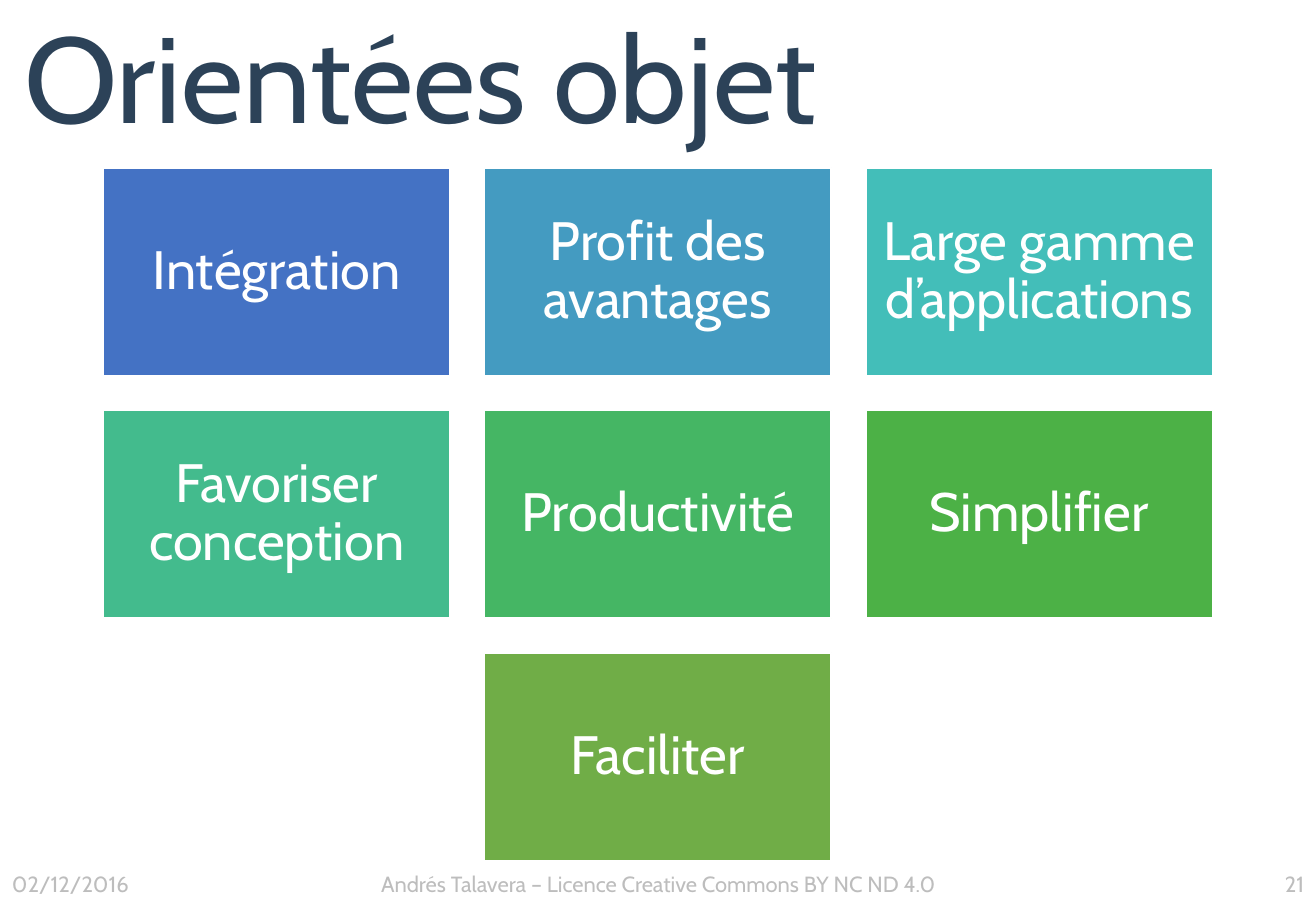
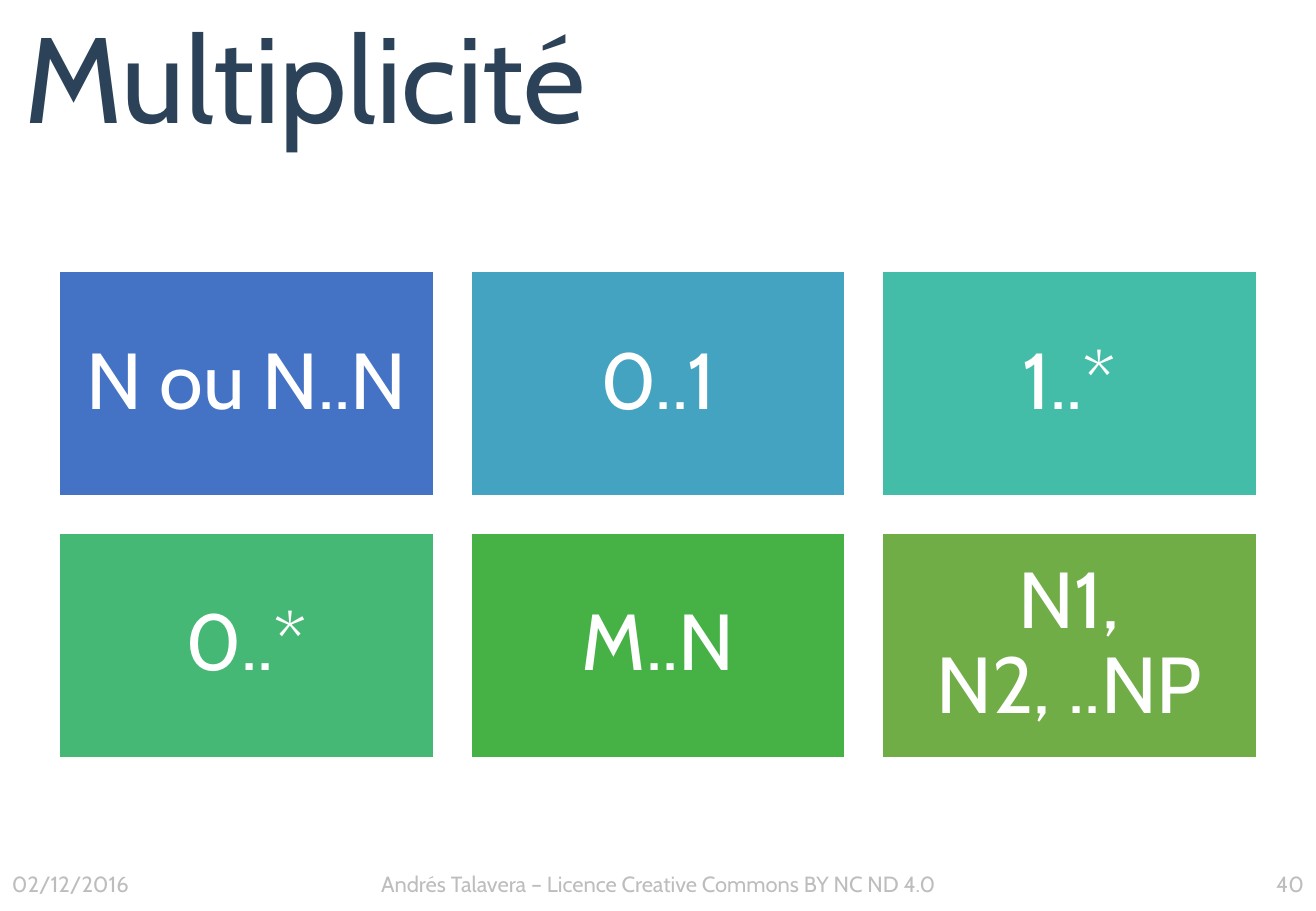
from colorsys import hls_to_rgb, rgb_to_hls
from dataclasses import dataclass
from math import ceil

from lxml.etree import SubElement
from pptx import Presentation
from pptx.dml.color import RGBColor
from pptx.enum.shapes import MSO_SHAPE
from pptx.enum.text import MSO_ANCHOR, MSO_AUTO_SIZE, PP_ALIGN
from pptx.oxml.ns import qn
from pptx.util import Pt


@dataclass(frozen=True)
class Theme:
    font: str = "Cabin"
    title_color: str = "2C4258"
    tile_first: str = "4472C4"
    tile_last: str = "70AD47"
    white: str = "FFFFFF"
    footer_color: str = "000000"
    footer_opacity: int = 25
    title_size: int = 72
    footer_size: int = 13


@dataclass(frozen=True)
class Box:
    left: float
    top: float
    width: float
    height: float

    def lengths(self):
        return Pt(self.left), Pt(self.top), Pt(self.width), Pt(self.height)


THEME = Theme()
PAGE = Box(0, 0, 780, 540)
TITLE = Box(0, 0, 780, 99.4)
BODY = Box(35.3, 99.5, 709.4, 410.8)
FOOTER = Box(0, 510.5, 780, 29.5)

COLUMNS = 3
TILE_RATIO = 0.6  # height to width
GAP_RATIO = 0.1  # gap to tile width

DATE = "02/12/2016"
LICENCE = "Andrés Talavera – Licence Creative Commons BY NC ND 4.0"


def write_text(shape, text, *, size, color, align=PP_ALIGN.LEFT,
               insets=(0, 0, 0, 0), spacing=1.0, opacity=100):
    """Fill a shape with one paragraph; insets run left, top, right, bottom."""
    frame = shape.text_frame
    frame.auto_size = MSO_AUTO_SIZE.NONE
    frame.word_wrap = True
    frame.vertical_anchor = MSO_ANCHOR.MIDDLE
    (frame.margin_left, frame.margin_top,
     frame.margin_right, frame.margin_bottom) = map(Pt, insets)
    para = frame.paragraphs[0]
    para.alignment = align
    para.line_spacing = spacing
    para.space_before = Pt(0)
    span = para.add_run()
    span.text = text
    span.font.name = THEME.font
    span.font.size = Pt(size)
    span.font.color.rgb = RGBColor.from_string(color)
    if opacity < 100:
        color_node = next(span.font.fill._xPr.iter(qn("a:srgbClr")))
        SubElement(color_node, qn("a:alpha"), val=str(opacity * 1000))


def blend(first, last, share):
    """Mix two hex colours along hue, lightness and saturation."""
    ends = [rgb_to_hls(*(part / 255 for part in RGBColor.from_string(color)))
            for color in (first, last)]
    mixed = (start + (end - start) * share for start, end in zip(*ends))
    return RGBColor(*(round(part * 255) for part in hls_to_rgb(*mixed)))


def add_title(page, box, text):
    title = page.shapes.title
    title.left, title.top, title.width, title.height = box.lengths()
    write_text(title, text, size=THEME.title_size, color=THEME.title_color,
               insets=(14.4, 0, 14.4, 0), spacing=0.9)


def add_footer(page, box, number):
    side = box.width * 0.197
    middle = box.width - 2 * side
    parts = (
        (DATE, 0, side, PP_ALIGN.LEFT),
        (LICENCE, side, middle, PP_ALIGN.CENTER),
        (str(number), side + middle, side, PP_ALIGN.RIGHT),
    )
    for text, offset, width, align in parts:
        place = Box(box.left + offset, box.top, width, box.height)
        write_text(page.shapes.add_textbox(*place.lengths()), text,
                   size=THEME.footer_size, color=THEME.footer_color,
                   align=align, insets=(7.2, 0, 7.2, 2.9),
                   opacity=THEME.footer_opacity)


def add_tile(page, box, text, size, fill):
    tile = page.shapes.add_shape(MSO_SHAPE.RECTANGLE, *box.lengths())
    tile.shadow.inherit = False
    tile.fill.solid()
    tile.fill.fore_color.rgb = fill
    tile.line.color.rgb = RGBColor.from_string(THEME.white)
    tile.line.width = Pt(1)
    write_text(tile, text, size=size, color=THEME.white,
               align=PP_ALIGN.CENTER, insets=(size * 0.3,) * 4, spacing=0.9)


def add_tile_grid(page, box, labels, size):
    """Fit the largest tiles into the box, centring the grid and each row."""
    rows = ceil(len(labels) / COLUMNS)
    width = min(
        box.width / (COLUMNS + (COLUMNS - 1) * GAP_RATIO),
        box.height / (rows * TILE_RATIO + (rows - 1) * GAP_RATIO),
    )
    height, gap = width * TILE_RATIO, width * GAP_RATIO
    top = box.top + (box.height - rows * height - (rows - 1) * gap) / 2
    for index, label in enumerate(labels):
        row, column = divmod(index, COLUMNS)
        count = min(COLUMNS, len(labels) - row * COLUMNS)
        row_width = count * width + (count - 1) * gap
        left = box.left + (box.width - row_width) / 2
        place = Box(left + column * (width + gap),
                    top + row * (height + gap), width, height)
        fill = blend(THEME.tile_first, THEME.tile_last,
                     index / (len(labels) - 1))
        add_tile(page, place, label, size, fill)


def add_tile_page(deck, title, number, labels, size):
    page = deck.slides.add_slide(deck.slide_layouts.get_by_name("Title Only"))
    add_tile_grid(page, BODY, labels, size)
    add_title(page, TITLE, title)
    add_footer(page, FOOTER, number)


def main():
    deck = Presentation()
    deck.slide_width, deck.slide_height = Pt(PAGE.width), Pt(PAGE.height)
    add_tile_page(
        deck, "Orientées objet", 21,
        ["Intégration", "Profit des avantages", "Large gamme d’applications",
         "Favoriser conception", "Productivité", "Simplifier", "Faciliter"],
        size=32)
    add_tile_page(
        deck, "Multiplicité", 40,
        ["N ou N..N", "0..1", "1..*", "0..*", "M..N", "N1, N2, ..NP"],
        size=47)
    deck.save("out.pptx")


if __name__ == "__main__":
    main()
